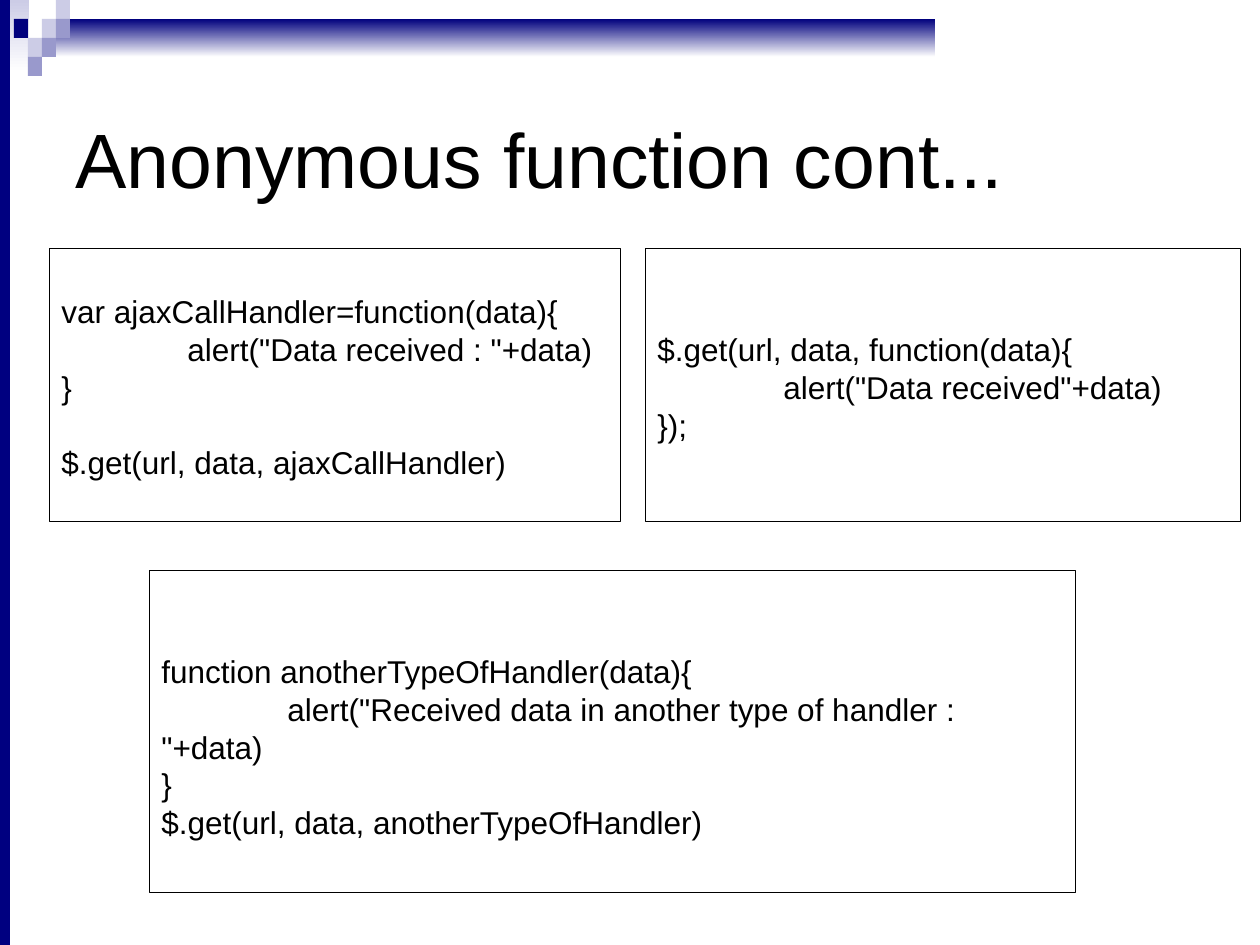
from lxml import etree
from pptx import Presentation
from pptx import util as u
from pptx.dml.color import RGBColor
from pptx.enum import shapes, text
from pptx.oxml.ns import qn

PX = 914400 / 126
BLACK = RGBColor(0x00, 0x00, 0x00)
WHITE = RGBColor(0xFF, 0xFF, 0xFF)
NAVY = RGBColor(0x00, 0x00, 0x7D)
EDGE = RGBColor(0x00, 0x00, 0x80)
LAVENDER = RGBColor(0xCC, 0xCC, 0xE6)
VIOLET = RGBColor(0x99, 0x99, 0xCC)
FONT = "Arial"
LINE = 21.6
TAB = 126
TILE_W, TILE_H = 14, 19
TILES = [
    (3, 1, LAVENDER), (4, 0, LAVENDER), (4, 1, VIOLET), (2, 2, LAVENDER),
    (1, 1, NAVY), (3, 2, VIOLET), (2, 3, VIOLET),
]


def px(n):
    return u.Emu(round(n * PX))


def add_rect(s, x, y, w, h, color=None):
    sp = s.shapes.add_shape(shapes.MSO_SHAPE.RECTANGLE, px(x), px(y), px(w), px(h))
    sp.shadow.inherit = False
    sp.line.fill.background()
    if color is None:
        sp.fill.background()
    else:
        sp.fill.solid()
        sp.fill.fore_color.rgb = color
    return sp


def add_fade(s, x, y, w, h, color):
    fill = add_rect(s, x, y, w, h).fill
    fill.gradient()
    fill.gradient_angle = 90
    for stop, rgb in zip(fill.gradient_stops, (WHITE, color)):
        stop.color.rgb = rgb


def add_run(p, wording, size):
    r = p.add_run()
    r.text = wording
    r.font.name = FONT
    r.font.size = u.Pt(size)
    r.font.color.rgb = BLACK


def add_tab_stop(p):
    tabs = etree.SubElement(p._p.get_or_add_pPr(), qn("a:tabLst"))
    etree.SubElement(tabs, qn("a:tab"), pos=str(px(TAB)), algn="l")


def set_frame(tf, anchor, top=6):
    tf.word_wrap = True
    tf.vertical_anchor = anchor
    tf.margin_left = tf.margin_right = u.Inches(0.1)
    tf.margin_top, tf.margin_bottom = px(top), px(6)


def add_title(s, wording):
    tf = s.shapes.add_textbox(px(63), px(57), px(1134), px(202)).text_frame
    set_frame(tf, text.MSO_ANCHOR.MIDDLE)
    add_run(tf.paragraphs[0], wording, 44)


def add_code(s, x, y, w, h, blocks, lines_above):
    sp = add_rect(s, x, y, w, h)
    sp.line.color.rgb = BLACK
    sp.line.width = u.Pt(0.25)
    tf = sp.text_frame
    set_frame(tf, text.MSO_ANCHOR.TOP, 6 + 38 * lines_above)
    p = tf.paragraphs[0]
    for b, block in enumerate(blocks):
        for i, wording in enumerate(block):
            if b or i:
                p = tf.add_paragraph()
            p.alignment = text.PP_ALIGN.LEFT
            p.line_spacing = u.Pt(LINE)
            if b and i == 0:
                p.space_before = u.Pt(LINE)
            if wording.startswith("\t"):
                add_tab_stop(p)
            add_run(p, wording, 18)


def add_decoration(s):
    add_fade(s, 0, 0, 29, 73, LAVENDER)
    add_fade(s, 43, 19, 892, 38, NAVY)
    for col, row, color in TILES:
        add_rect(s, col * TILE_W, row * TILE_H, TILE_W, TILE_H, color)
    add_rect(s, 0, 0, 10, 945, EDGE)


def main():
    prs = Presentation()
    prs.slide_width, prs.slide_height = px(1260), px(945)
    s = prs.slides.add_slide(prs.slide_layouts[6])
    add_decoration(s)
    add_title(s, "Anonymous function cont...")
    add_code(s, 49, 248, 571, 273, [
        ["var ajaxCallHandler=function(data){",
         "\talert(\"Data received : \"+data)",
         "}"],
        ["$.get(url, data, ajaxCallHandler)"],
    ], 1)
    add_code(s, 645, 248, 595, 273, [
        ["$.get(url, data, function(data){",
         "\talert(\"Data received\"+data)",
         "});"],
    ], 2)
    add_code(s, 149, 570, 926, 322, [
        ["function anotherTypeOfHandler(data){",
         "\talert(\"Received data in another type of handler : \"+data)",
         "}",
         "$.get(url, data, anotherTypeOfHandler)"],
    ], 2)
    prs.save("out.pptx")


if __name__ == "__main__":
    main()
